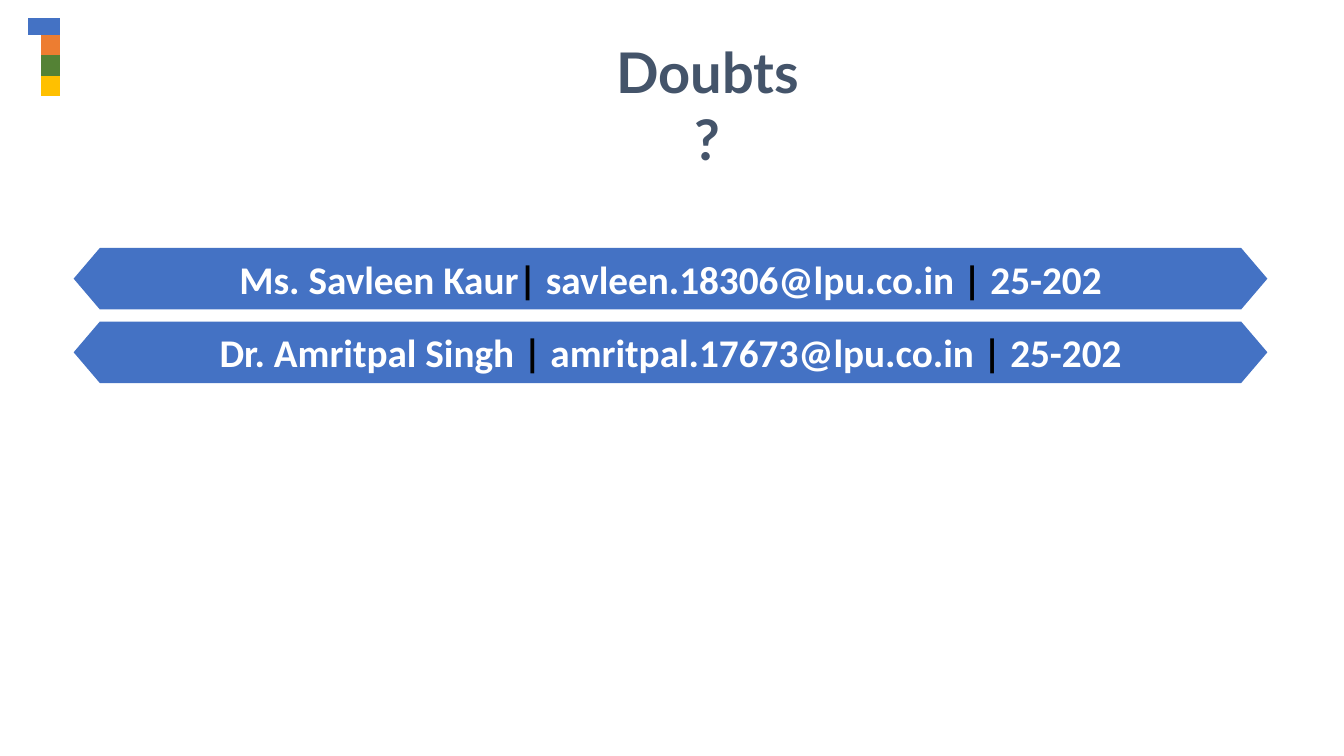
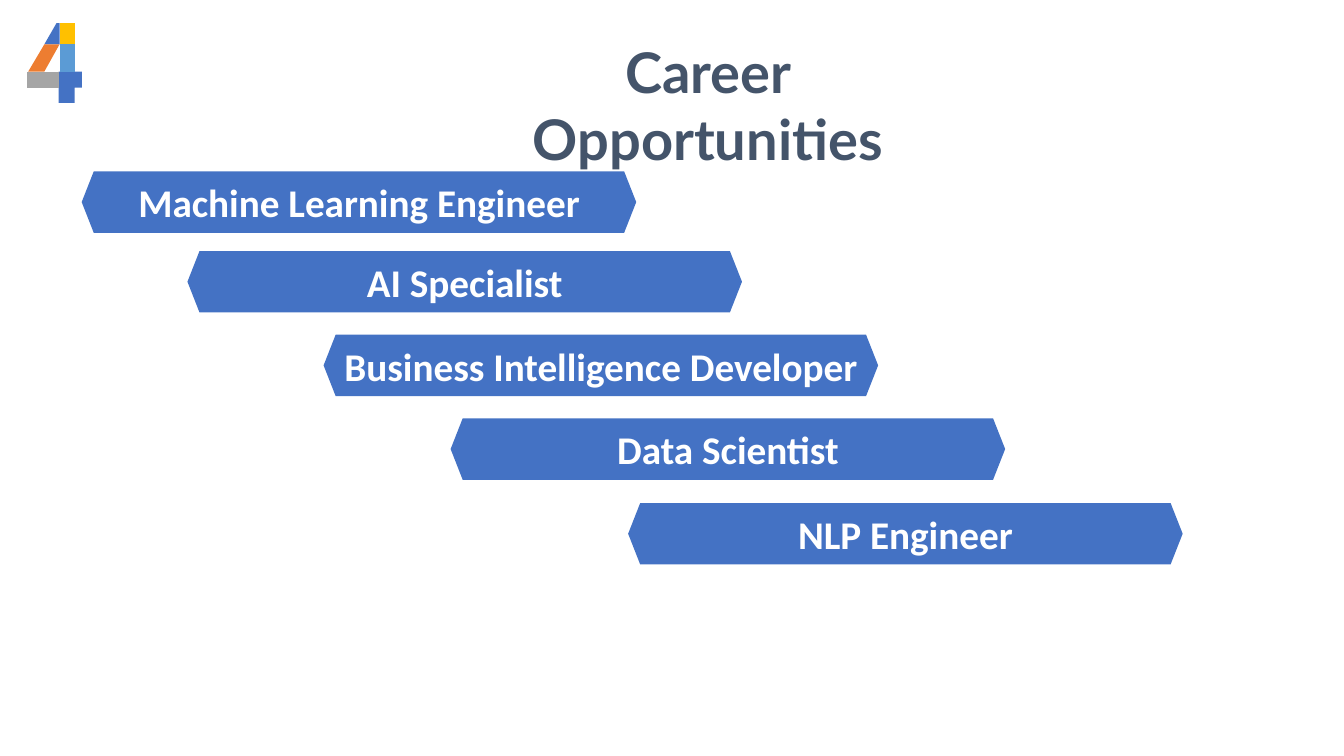
from pptx import Presentation
from pptx.dml.color import RGBColor
from pptx.enum.text import MSO_ANCHOR, MSO_AUTO_SIZE, PP_ALIGN
from pptx.util import Inches, Pt

CENTER = PP_ALIGN.CENTER
MIDDLE = MSO_ANCHOR.MIDDLE
GROW = MSO_AUTO_SIZE.SHAPE_TO_FIT_TEXT

BLUE = RGBColor(0x44, 0x72, 0xC4)
SKY = RGBColor(0x5B, 0x9B, 0xD5)
ORANGE = RGBColor(0xED, 0x7D, 0x31)
GREEN = RGBColor(0x54, 0x82, 0x35)
GOLD = RGBColor(0xFF, 0xC0, 0x00)
GRAY = RGBColor(0xA5, 0xA5, 0xA5)
SLATE = RGBColor(0x44, 0x54, 0x6A)
WHITE = RGBColor(0xFF, 0xFF, 0xFF)
BLACK = RGBColor(0x00, 0x00, 0x00)

SLIDE_WIDTH, SLIDE_HEIGHT = Inches(13.33), Inches(7.5)
COLUMNS, ROWS = 100, 75
TITLE_CENTER, TITLE_TOP, TITLE_HEIGHT = 52.66, 3.2, 7.7
BAR_HEIGHT = 6.1
SEPARATOR = "|"

CONTACTS = [
    "Ms. Savleen Kaur| savleen.18306@lpu.co.in | 25-202",
    "Dr. Amritpal Singh | amritpal.17673@lpu.co.in | 25-202",
]
CAREERS = [  # label, left column, top row
    ("Machine Learning Engineer", 6.08, 17),
    ("AI Specialist", 13.95, 24.9),
    ("Business Intelligence Developer", 24.08, 33.2),
    ("Data Scientist", 33.53, 41.5),
    ("NLP Engineer", 46.74, 49.9),
]


def column(count):
    return round(SLIDE_WIDTH * count / COLUMNS)


def row(count):
    return round(SLIDE_HEIGHT * count / ROWS)


def box(left, top, right, bottom):
    """Corner points of a rectangle in grid units."""
    return [(left, top), (right, top), (right, bottom), (left, bottom)]


ONE_PIECES = [
    (BLUE, box(2.1, 1.75, 4.45, 3.5)),
    (ORANGE, box(3.08, 3.5, 4.45, 5.5)),
    (GREEN, box(3.08, 5.5, 4.45, 7.5)),
    (GOLD, box(3.08, 7.5, 4.45, 9.5)),
]
FOUR_PIECES = [
    (BLUE, [(4.43, 2.3), (4.2, 2.3), (3.3, 4.4), (4.43, 4.4)]),
    (BLUE, [(4.36, 7.1), (4.36, 10.2), (5.55, 10.2), (5.55, 8.7),
            (6.1, 8.7), (6.1, 7.1)]),
    (GRAY, box(2.03, 7.1, 4.36, 8.7)),
    (SKY, box(4.43, 4.4, 5.55, 7.1)),
    (ORANGE, [(3.3, 7.1), (4.43, 4.4), (3.3, 4.4), (2.1, 7.1)]),
    (GOLD, box(4.43, 2.3, 5.55, 4.4)),
]


def write_text(shape, text, *, size, font, color, separator_color=None, wrap=False):
    """Fill a shape with centred bold text, recolouring its separators."""
    frame = shape.text_frame
    frame.word_wrap = wrap
    paragraph = frame.paragraphs[0]
    paragraph.alignment = CENTER
    for index, part in enumerate(text.split(SEPARATOR)):
        pieces = [(part, color)]
        if index:
            pieces.insert(0, (SEPARATOR, separator_color or color))
        for piece, piece_color in pieces:
            run = paragraph.add_run()
            run.text = piece
            run.font.name = font
            run.font.size = Pt(size)
            run.font.bold = True
            run.font.color.rgb = piece_color


def add_polygon(shapes, points, color):
    corners = [(column(x), row(y)) for x, y in points]
    builder = shapes.build_freeform(*corners[0])
    builder.add_line_segments(corners[1:], close=True)
    polygon = builder.convert_to_shape()
    polygon.shadow.inherit = False
    polygon.fill.solid()
    polygon.fill.fore_color.rgb = color
    polygon.line.fill.background()
    return polygon


def add_title(slide, text, width):
    title = slide.shapes.add_textbox(
        column(TITLE_CENTER - width / 2), row(TITLE_TOP),
        column(width), row(TITLE_HEIGHT))
    write_text(title, text, size=40, font="Lato", color=SLATE, wrap=True)
    title.text_frame.auto_size = GROW


def add_emblem(slide, pieces):
    """Draw a digit assembled from coloured pieces."""
    group = slide.shapes.add_group_shape()
    for color, points in pieces:
        add_polygon(group.shapes, points, color)


def add_bar(slide, text, left, top, width, tip):
    """Draw a labelled bar that is pointed at both ends."""
    right, middle, bottom = left + width, top + BAR_HEIGHT / 2, top + BAR_HEIGHT
    bar = add_polygon(slide.shapes, [
        (right - tip, top), (left + tip, top), (left, middle),
        (left + tip, bottom), (right - tip, bottom), (right, middle)], BLUE)
    write_text(bar, text, size=28, font="Calibri", color=WHITE, separator_color=BLACK)
    bar.text_frame.vertical_anchor = MIDDLE


def add_slide(presentation, title, title_width, emblem):
    slide = presentation.slides.add_slide(presentation.slide_layouts[6])
    add_title(slide, title, title_width)
    add_emblem(slide, emblem)
    return slide


def main():
    presentation = Presentation()
    presentation.slide_width = SLIDE_WIDTH
    presentation.slide_height = SLIDE_HEIGHT

    doubts = add_slide(presentation, "Doubts ?", 16.9, ONE_PIECES)
    for index, contact in enumerate(CONTACTS):
        add_bar(doubts, contact, 5.48, 24.6 + 7.3 * index, width=88.82, tip=1.95)

    careers = add_slide(presentation, "Career Opportunities", 40.1, FOUR_PIECES)
    for label, left, top in CAREERS:
        add_bar(careers, label, left, top, width=41.26, tip=0.9)

    presentation.save("out.pptx")


if __name__ == "__main__":
    main()
